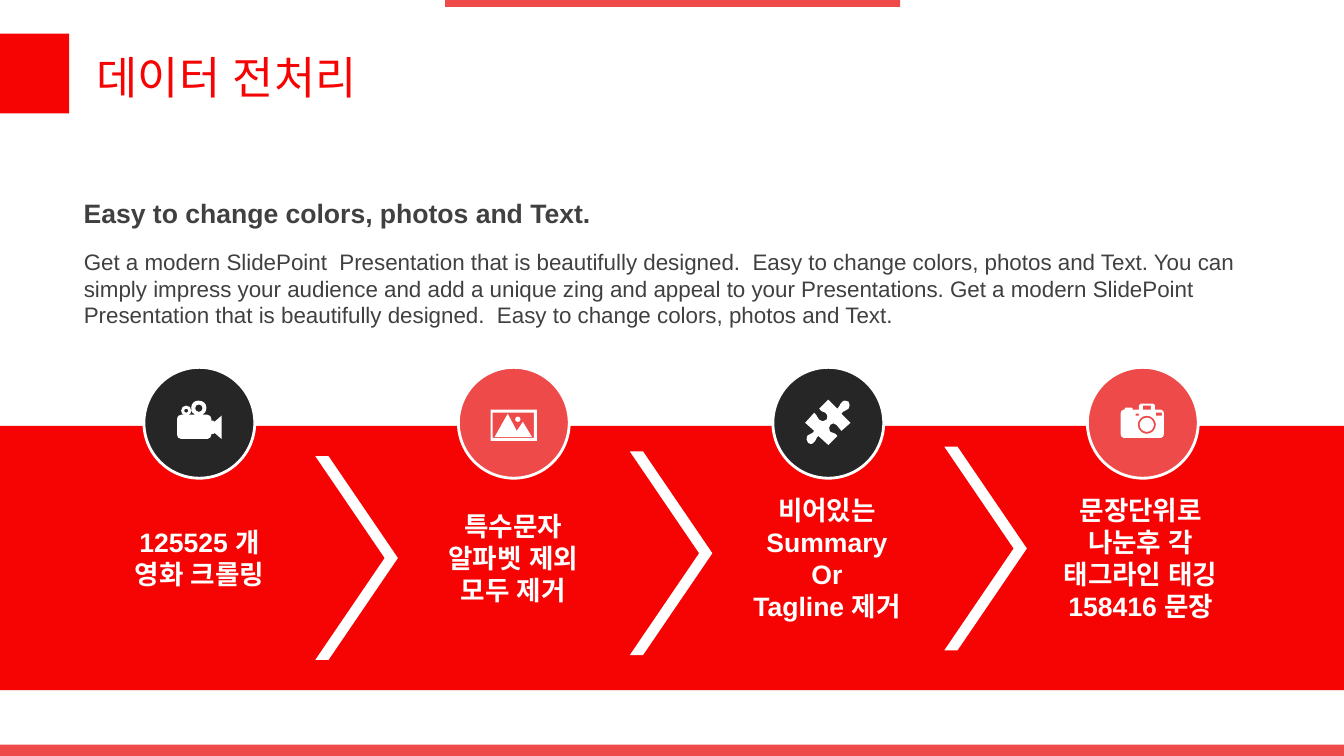
import dataclasses

import pptx
import pptx.dml.color
import pptx.enum.text
import pptx.enum.shapes
import pptx.oxml
import pptx.oxml.ns
import pptx.util

Pt = pptx.util.Pt
SHAPE = pptx.enum.shapes.MSO_SHAPE
ALIGN = pptx.enum.text.PP_ALIGN
ANCHOR = pptx.enum.text.MSO_ANCHOR
DRAWING_NS = pptx.oxml.ns.nsdecls("a")


@dataclasses.dataclass(frozen=True)
class Theme:
    red: str = "F60403"
    coral: str = "EF4A4A"
    dark: str = "262626"
    ink: str = "404040"
    white: str = "FFFFFF"
    title_font: str = "Noto Sans CJK SC"
    text_font: str = "Arial"
    title_size: int = 32
    strong_size: int = 19
    body_size: int = 16


THEME = Theme()
SLIDE_W, SLIDE_H = 960, 540
STEP_PITCH = 224.64
LABEL_PITCH = 224.1
BADGE = 79.2
ICON_UNIT = 0.72

# Icon outlines on a 110-unit badge grid: M move, L line, C curve, O circle (x y r)
MOVIE_CAMERA = """O 42 43 2 O 54.5 40.5 3.7
M 54 33 C 59 33 62 36 62 40 C 62 44 60 46 58 47 L 63 47 C 65 47 67 49 67 51
L 67 53 L 69 53 C 70 53 70 53 70 54 L 77 48 L 77 71 L 70 65 C 70 65 70 66 69 66
L 67 66 L 67 67 C 67 69 65 71 63 71 L 37 71 C 34 71 33 69 33 67 L 33 51
C 33 49 34 47 37 47 L 40 47 C 38 47 37 45 37 43 C 37 40 39 38 42 38
C 45 38 47 40 47 43 C 47 45 46 47 44 47 L 51 47 C 48 46 47 44 47 40
C 47 36 50 33 54 33"""
LANDSCAPE = """O 59 51.5 2.7 M 49 46 L 58 63 L 64 54 L 73 69 L 36 69
M 34 45 L 34 70 L 75 70 L 75 45 M 32 42 L 78 42 L 78 73 L 32 73"""
PUZZLE = """M 75 34 C 76 36 77 39 75 41 C 73 44 70 42 68 46 L 77 55 L 68 63
C 65 61 66 59 63 57 C 61 55 59 55 57 57 C 56 58 55 61 57 64 C 60 66 61 64 64 68
L 55 77 L 45 68 C 42 71 44 71 41 74 C 39 77 36 76 35 75 C 33 73 33 70 34 68
C 36 65 39 67 41 63 L 32 55 L 41 45 C 45 48 43 50 46 52 C 48 54 51 54 53 52
C 54 51 55 47 52 45 C 49 43 49 45 46 41 L 55 32 L 64 41 C 67 39 65 38 68 35
C 70 32 73 33 75 34"""
PHOTO_CAMERA = """O 59 57 7 O 59 57 9 M 48 46 L 48 48 L 51 48 L 51 46
M 68 45 L 68 48 L 74 48 L 74 45 M 55 38 L 55 42 L 63 42 L 63 38
M 53 36 L 65 36 C 66 36 67 37 67 38 L 67 42 L 73 42 C 75 42 76 44 76 46 L 76 66
C 76 68 75 70 73 70 L 36 70 C 34 70 33 68 33 66 L 33 46 C 33 44 34 42 36 42
L 37 42 L 37 41 C 37 40 37 40 38 40 L 44 40 C 44 40 45 40 45 41 L 45 42 L 51 42
L 51 38 C 51 37 52 36 53 36"""

# Badge colour, icon, label paragraphs, number of label lines
STEPS = [
    (THEME.dark, MOVIE_CAMERA, ["125525 개", "영화 크롤링"], 2),
    (THEME.coral, LANDSCAPE, ["특수문자", "알파벳 제외", "모두 제거"], 3),
    (THEME.dark, PUZZLE, ["비어있는", "Summary", "Or", "Tagline 제거"], 4),
    (THEME.coral, PHOTO_CAMERA, ["문장단위로", "나눈후 각 태그라인 태깅", "158416 문장"], 4),
]
DESCRIPTION = (
    "Get a modern SlidePoint  Presentation that is beautifully designed.  Easy to change "
    "colors, photos and Text. You can simply impress your audience and add a unique zing and "
    "appeal to your Presentations. Get a modern SlidePoint  Presentation that is beautifully "
    "designed.  Easy to change colors, photos and Text."
)


def rgb(value):
    return pptx.dml.color.RGBColor.from_string(value)


def apply(target, values):
    for name, value in values.items():
        setattr(target, name, value)


def place(item, box):
    apply(item, dict(zip(("left", "top", "width", "height"), map(Pt, box))))


def paint(shape, colour):
    shape.shadow.inherit = False
    shape.fill.solid()
    shape.fill.fore_color.rgb = rgb(colour)
    shape.line.fill.background()
    return shape


def add_block(slide, preset, box, colour):
    return paint(slide.shapes.add_shape(preset, *map(Pt, box)), colour)


def write(holder, lines, font, colour, align=ALIGN.LEFT, **frame_values):
    frame = holder.text_frame
    apply(frame, {"word_wrap": True, "auto_size": pptx.enum.text.MSO_AUTO_SIZE.NONE,
                  "vertical_anchor": ANCHOR.MIDDLE, **frame_values})
    frame.text = "\n".join(lines)
    for paragraph in frame.paragraphs:
        apply(paragraph, {"alignment": align, "space_before": Pt(0)})
        for run in paragraph.runs:
            apply(run.font, font)
            run.font.color.rgb = rgb(colour)
            # Face for the Hangul and the spaces beside it
            run.font._element.find(pptx.oxml.ns.qn("a:latin")).addnext(
                pptx.oxml.parse_xml(f'<a:ea {DRAWING_NS} typeface="{THEME.text_font}"/>'))


def contours(outline):
    """Split an outline into loops of segments, each a list of one or three points."""
    arity = {"M": 2, "L": 2, "C": 6, "O": 3}
    tokens, loops = outline.split(), []
    while tokens:
        command, *rest = tokens
        numbers = [float(n) for n in rest[:arity[command]]]
        tokens = rest[arity[command]:]
        if command == "O":
            x, y, r = numbers
            k = 0.55 * r
            loops.append([[(x + r, y)],
                          [(x + r, y + k), (x + k, y + r), (x, y + r)],
                          [(x - k, y + r), (x - r, y + k), (x - r, y)],
                          [(x - r, y - k), (x - k, y - r), (x, y - r)],
                          [(x + k, y - r), (x + r, y - k), (x + r, y)]])
        else:
            if command == "M":
                loops.append([])
            loops[-1].append(list(zip(numbers[::2], numbers[1::2])))
    return loops


def add_icon(slide, left, top, outline):
    loops = [[[(Pt(left + x * ICON_UNIT), Pt(top + y * ICON_UNIT)) for x, y in segment]
              for segment in loop] for loop in contours(outline)]
    builder = slide.shapes.build_freeform(*loops[0][0][-1], scale=1.0)
    for i, loop in enumerate(loops):
        nodes = [segment[-1] for segment in loop]
        if i:
            builder.move_to(*nodes[0])
        # Every segment keeps its own node, so only the pen is lifted here
        builder.add_line_segments(nodes[1:], close=True)
    icon = paint(builder.convert_to_shape(), THEME.white)
    # Bend the segments that have control points
    segments = [segment for loop in loops for segment in loop[1:]]
    edges = list(icon._element.iter(pptx.oxml.ns.qn("a:lnTo")))
    for edge, segment in zip(edges, segments):
        if len(segment) == 3:
            points = "".join(f'<a:pt x="{x - icon.left}" y="{y - icon.top}"/>'
                             for x, y in segment)
            edge.getparent().replace(edge, pptx.oxml.parse_xml(
                f"<a:cubicBezTo {DRAWING_NS}>{points}</a:cubicBezTo>"))


def add_frame(slide):
    for box in ((318, 0, 325, 5), (0, 531.8, SLIDE_W, 8.2)):
        add_block(slide, SHAPE.RECTANGLE, box, THEME.coral)


def add_header(slide, left, top, width, height):
    add_block(slide, SHAPE.RECTANGLE, (left, top, 49.4, height), THEME.red)
    title = slide.shapes.title
    place(title, (left + 61.8, top + 7.6, width - 61.8, 46))
    write(title, ["데이터 전처리"], {"name": THEME.title_font, "size": Pt(THEME.title_size)},
          THEME.red, ALIGN.JUSTIFY, vertical_anchor=ANCHOR.TOP)


def add_intro(slide, left, top, width):
    heading = slide.shapes.add_textbox(*map(Pt, (left, top, width, 30)))
    write(heading, ["Easy to change colors, photos and Text."],
          {"name": THEME.text_font, "size": Pt(THEME.strong_size), "bold": True}, THEME.ink)
    description = slide.placeholders[1]
    place(description, (left, top + 35.2, width, 67.7))
    write(description, [DESCRIPTION],
          {"name": THEME.text_font, "size": Pt(THEME.body_size)}, THEME.ink)
    properties = description.text_frame.paragraphs[0]._p.get_or_add_pPr()
    for name in ("marL", "indent"):
        properties.set(name, "0")
    properties.append(pptx.oxml.parse_xml(f"<a:buNone {DRAWING_NS}/>"))


def add_process(slide, left, top, width, height):
    add_block(slide, SHAPE.RECTANGLE, (left, top, width, height), THEME.red)
    for i, (colour, icon, lines, line_count) in enumerate(STEPS):
        step_left = left + i * STEP_PITCH
        # Badge straddling the band's top edge
        badge_left, badge_top = step_left + 102.8, top - 41.8
        badge = add_block(slide, SHAPE.OVAL, (badge_left, badge_top, BADGE, BADGE), colour)
        badge.line.color.rgb = rgb(THEME.white)
        badge.line.width = Pt(2)
        add_icon(slide, badge_left, badge_top, icon)
        # Label centred on a shared line
        label_left, label_height = left + 60.8 + i * LABEL_PITCH, 23 * line_count + 9.4
        label = slide.shapes.add_textbox(
            *map(Pt, (label_left, top + 94.2 - label_height / 2, 163.4, label_height)))
        write(label, lines,
              {"name": THEME.text_font, "size": Pt(THEME.strong_size), "bold": True},
              THEME.white, ALIGN.CENTER, margin_left=Pt(9.4), margin_right=Pt(9.4),
              margin_top=Pt(5), margin_bottom=Pt(5))
        # Chevron to the next step
        if i < len(STEPS) - 1:
            chevron = add_block(slide, SHAPE.CHEVRON,
                                (step_left + 225.2, top + 21.6 - 3.4 * i, 59, 145.6), THEME.white)
            chevron.adjustments[0] = 0.84


def main():
    deck = pptx.Presentation()
    apply(deck, {"slide_width": Pt(SLIDE_W), "slide_height": Pt(SLIDE_H)})
    slide = deck.slides.add_slide(deck.slide_layouts[1])
    add_frame(slide)
    add_header(slide, 0, 24, 415, 57)
    add_intro(slide, 52.7, 136.8, 854)
    add_process(slide, 0, 304.2, SLIDE_W, 188.7)
    deck.save("out.pptx")


if __name__ == "__main__":
    main()
